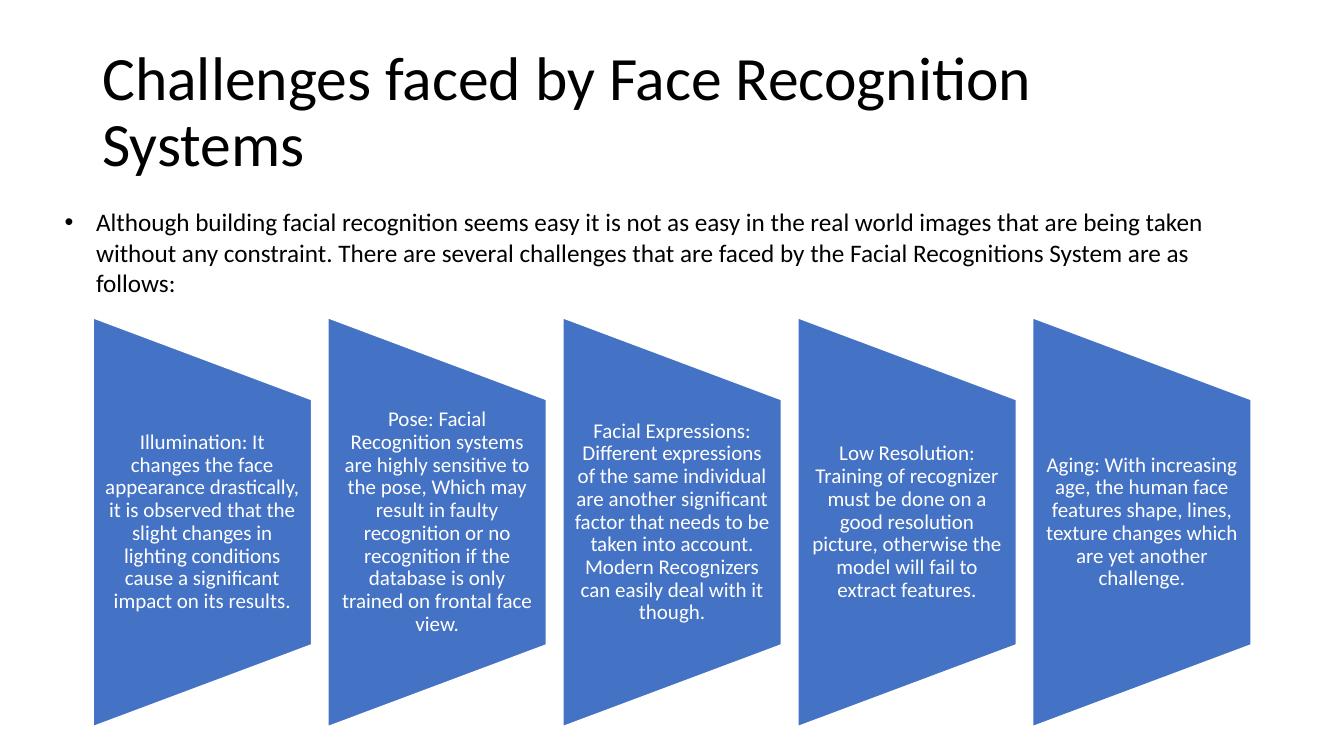
from dataclasses import dataclass

from lxml import etree
from pptx import Presentation
from pptx.dml.color import RGBColor
from pptx.enum import shapes, text
from pptx.oxml.ns import qn
from pptx.util import Pt


@dataclass(frozen=True)
class Theme:
    font: str = "Calibri"
    ink: str = "000000"
    paper: str = "FFFFFF"
    accent: str = "4472C4"
    title_size: float = 44
    body_size: float = 18
    card_size: float = 15


CHALLENGES = [
    "Illumination: It changes the face appearance drastically, it is observed that "
    "the slight changes in lighting conditions cause a significant impact on its results.",
    "Pose: Facial Recognition systems are highly sensitive to the pose, Which may result in "
    "faulty recognition or no recognition if the database is only trained on frontal face view.",
    "Facial Expressions: Different expressions of the same individual are another significant "
    "factor that needs to be taken into account. Modern Recognizers can easily deal with it though.",
    "Low Resolution: Training of recognizer must be done on a good resolution picture, "
    "otherwise the model will fail to extract features.",
    "Aging: With increasing age, the human face features shape, lines, texture changes "
    "which are yet another challenge.",
]
INTRO = (
    "Although building facial recognition seems easy it is not as easy in the real world images "
    "that are being taken without any constraint. There are several challenges that are faced by "
    "the Facial Recognitions System are as follows:"
)


class SlideBuilder:
    def __init__(self, page, theme):
        self.page = page
        self.theme = theme

    def text_box(self, left, top, width, height, words, size, color,
                 anchor=text.MSO_ANCHOR.TOP, align=text.PP_ALIGN.LEFT,
                 spacing=1.0, insets=(7.2, 3.6, 7.2, 3.6), indent=None):
        box = self.page.shapes.add_textbox(Pt(left), Pt(top), Pt(width), Pt(height))
        frame = box.text_frame
        frame.word_wrap = True
        frame.vertical_anchor = anchor
        frame.margin_left, frame.margin_top, frame.margin_right, frame.margin_bottom = map(Pt, insets)
        para = frame.paragraphs[0]
        para.alignment = align
        para.line_spacing = spacing
        if indent:
            self.bullet(para, indent)
        span = para.add_run()
        span.text = words
        span.font.name = self.theme.font
        span.font.size = Pt(size)
        span.font.color.rgb = RGBColor.from_string(color)

    def bullet(self, para, indent):
        properties = para._p.get_or_add_pPr()
        properties.set("marL", str(Pt(indent)))
        properties.set("indent", str(-Pt(indent)))
        etree.SubElement(properties, qn("a:buFont")).set("typeface", "Arial")
        etree.SubElement(properties, qn("a:buChar")).set("char", "•")

    def title(self, words):
        self.text_box(66, 28.75, 828, 104.4, words, self.theme.title_size, self.theme.ink,
                      anchor=text.MSO_ANCHOR.MIDDLE, spacing=0.9)

    def intro(self, words):
        self.text_box(39, 144, 862, 94.3, words, self.theme.body_size, self.theme.ink, indent=22.5)

    def card(self, left, middle, width, height, words):
        panel = self.page.shapes.add_shape(
            shapes.MSO_SHAPE.FLOWCHART_MANUAL_OPERATION,
            Pt(left + (width - height) / 2), Pt(middle - width / 2), Pt(height), Pt(width))
        panel.rotation = 270
        panel.shadow.inherit = False
        panel.fill.solid()
        panel.fill.fore_color.rgb = RGBColor.from_string(self.theme.accent)
        panel.line.color.rgb = RGBColor.from_string(self.theme.paper)
        panel.line.width = Pt(1)
        text_height = height * 0.6
        self.text_box(left, middle - text_height / 2, width, text_height, words,
                      self.theme.card_size, self.theme.paper,
                      anchor=text.MSO_ANCHOR.MIDDLE, align=text.PP_ALIGN.CENTER,
                      spacing=0.9, insets=(7.5, 0, 7.6, 0))


def main():
    deck = Presentation()
    deck.slide_width, deck.slide_height = Pt(960), Pt(540)
    page = deck.slides.add_slide(deck.slide_layouts[6])
    builder = SlideBuilder(page, Theme())
    builder.title("Challenges faced by Face Recognition Systems")
    first_left, pitch = 66.5, 167.8
    for column, words in enumerate(CHALLENGES):
        builder.card(first_left + column * pitch, 373, 156, 292, words)
    builder.intro(INTRO)
    deck.save("out.pptx")


if __name__ == "__main__":
    main()
